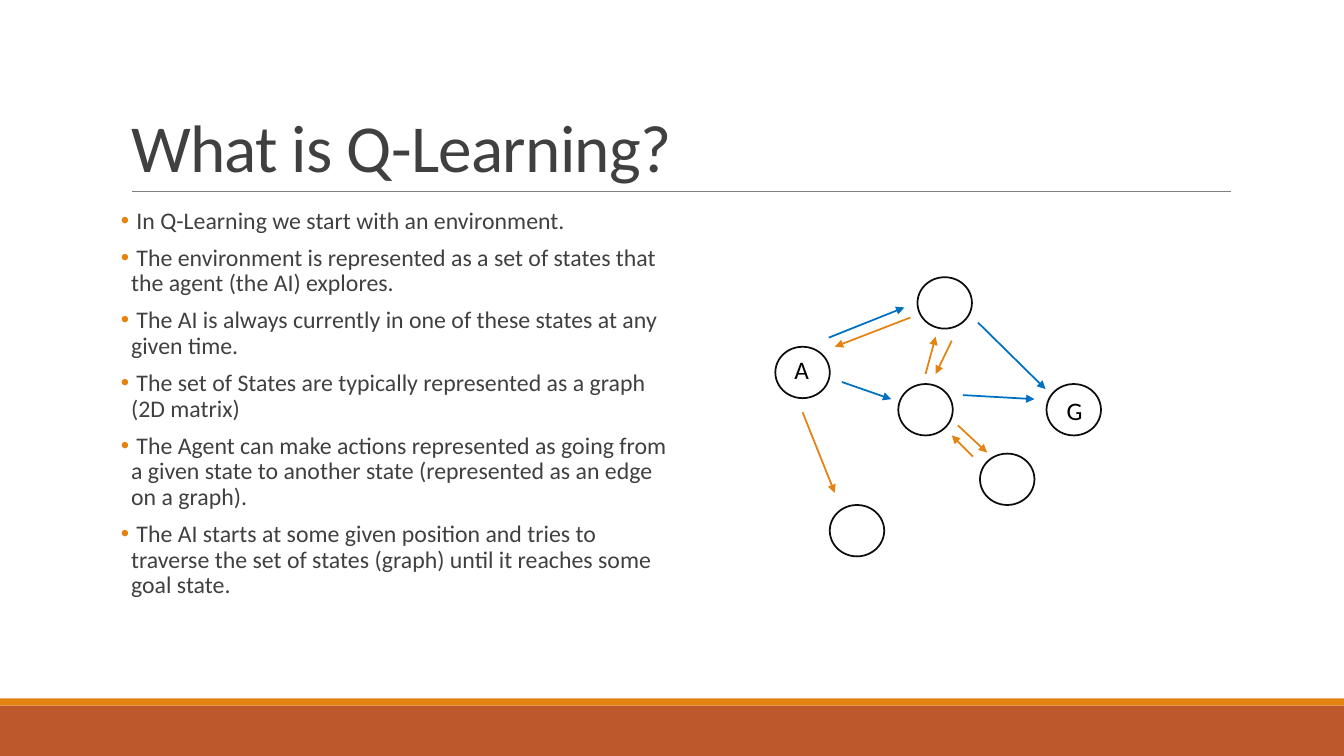
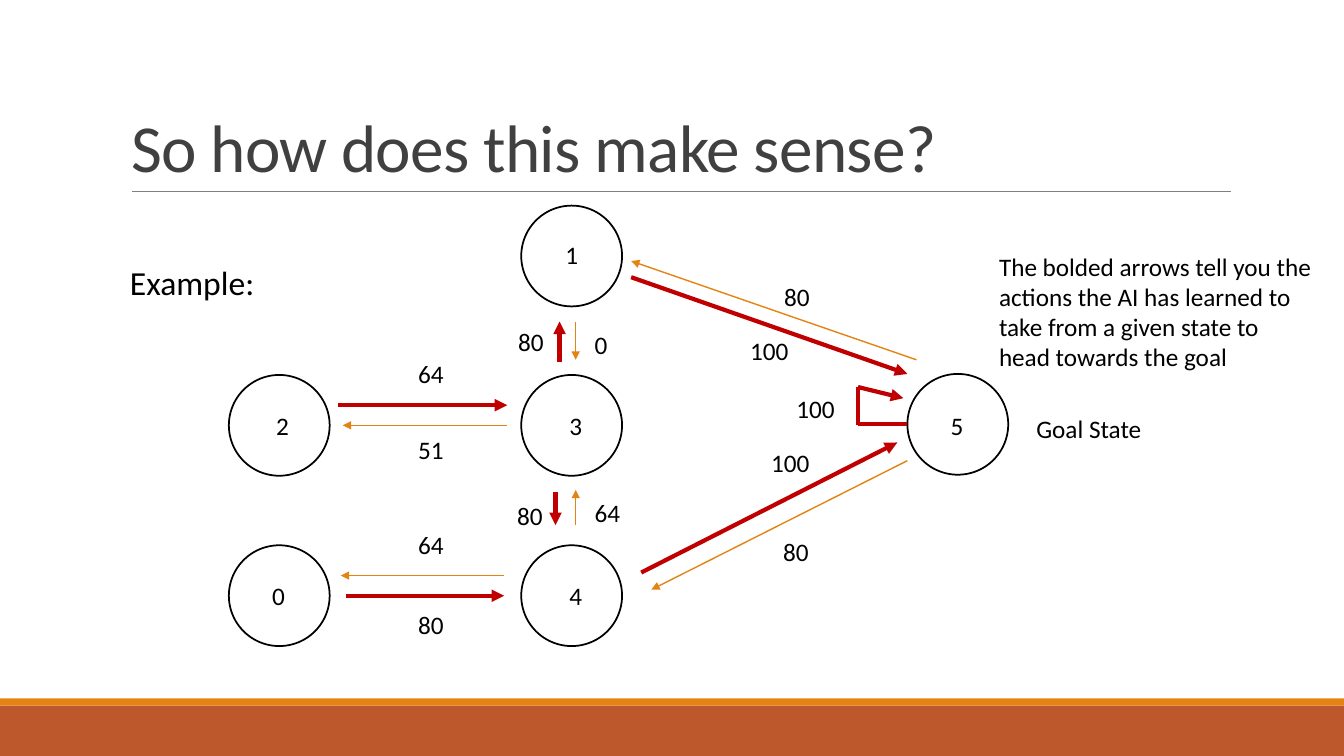
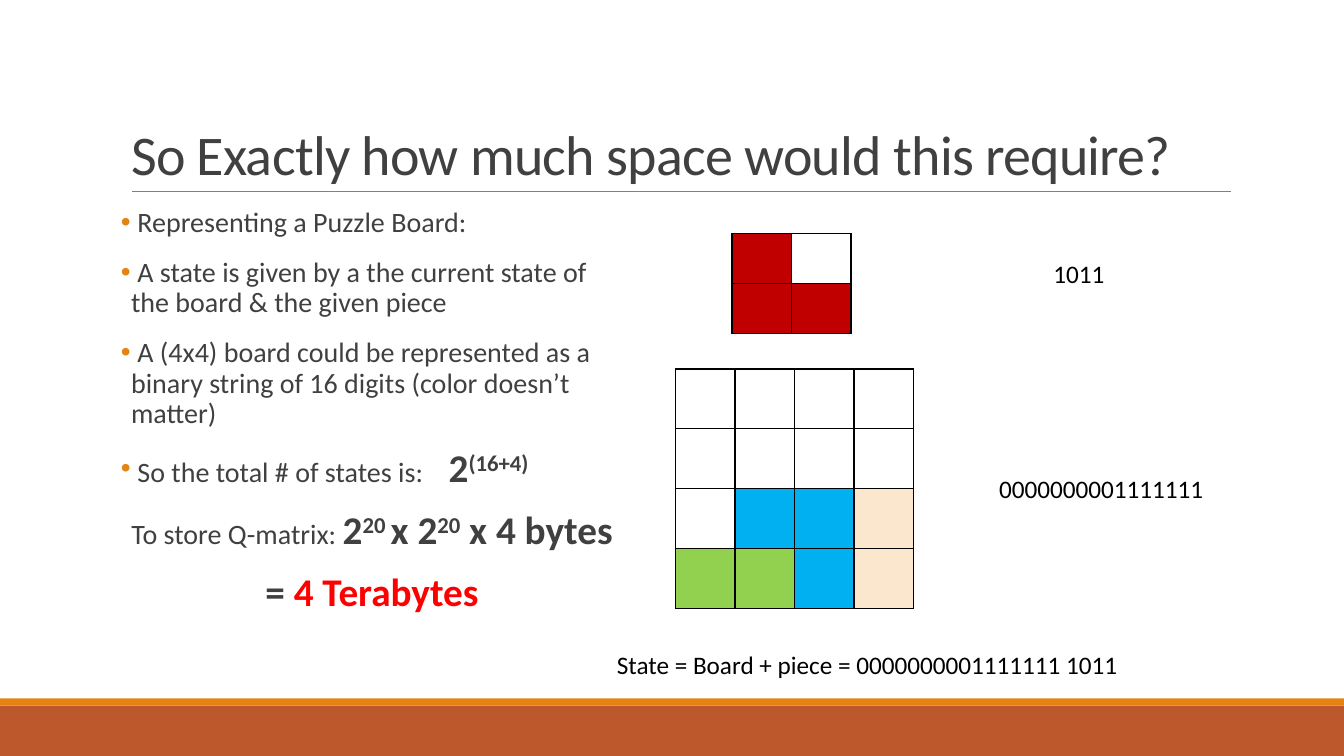
from dataclasses import dataclass

from lxml import etree
from pptx import Presentation
from pptx import util as u
from pptx.dml.color import RGBColor
from pptx.enum import shapes, text
from pptx.oxml.ns import qn

PX = 9144  # EMU per px, 100 px to the inch
WIDTH, HEIGHT = 1333, 750
TITLE_AND_BODY, TITLE_ONLY = 1, 5


@dataclass(frozen=True)
class Theme:
    font: str = "Calibri"
    ink: str = "404040"
    black: str = "000000"
    node: str = "0D0D0D"
    rule: str = "808080"
    rust: str = "BD582C"
    orange: str = "E48312"
    blue: str = "0070C0"
    crimson: str = "C00000"
    red: str = "FF0000"
    sky: str = "00B0F0"
    green: str = "92D050"
    peach: str = "FBE6CE"
    title: int = 48
    long_title: int = 40
    formula: int = 28
    heading: int = 24
    large_list: int = 20
    label: int = 18
    small_list: int = 17


THEME = Theme()


def px(*lengths):
    return [u.Emu(length * PX) for length in lengths]


def rgb(code):
    return RGBColor.from_string(code)


def add_xml(parent, tag, **attributes):
    return etree.SubElement(parent, qn(tag), attributes)


def add_solid(parent, color):
    add_xml(add_xml(parent, "a:solidFill"), "a:srgbClr", val=color)


def write_run(paragraph, words, size, color, bold=False, raised=0, tracking=0):
    run = paragraph.add_run()
    run.text = words
    font = run.font
    font.name, font.size, font.bold = THEME.font, u.Pt(size), bold
    font.color.rgb = rgb(color)
    properties = run._r.get_or_add_rPr()
    if raised:
        properties.set("baseline", str(raised * 1000))
    if tracking:
        properties.set("spc", str(int(tracking * 100)))


def write(frame, paragraphs, align=text.PP_ALIGN.LEFT, line=1.0, before=0,
          after=0, bullet=None, **font):
    """Write paragraphs: each a string, or a list of (words, font changes).

    Centred paragraphs are given as a tuple holding such a list.
    """
    for index, content in enumerate(paragraphs):
        paragraph = frame.paragraphs[0] if index == 0 else frame.add_paragraph()
        centred = isinstance(content, tuple)
        runs = content[0] if centred else content
        paragraph.alignment = text.PP_ALIGN.CENTER if centred else align
        paragraph.line_spacing = line
        paragraph.space_before, paragraph.space_after = u.Pt(before), u.Pt(after)
        layout = paragraph._p.get_or_add_pPr()
        bulleted = bullet and not centred
        hanging = 10 * PX if bulleted else 0
        layout.set("marL", str(hanging))
        layout.set("indent", str(-hanging))
        if bulleted:
            add_xml(add_xml(layout, "a:buClr"), "a:srgbClr", val=bullet)
            add_xml(layout, "a:buChar", char="•")
        else:
            add_xml(layout, "a:buNone")
        for words, changes in [(runs, {})] if isinstance(runs, str) else runs:
            write_run(paragraph, words, **{**font, **changes})


class Deck:
    def __init__(self):
        self.file = Presentation()
        self.file.slide_width, self.file.slide_height = px(WIDTH, HEIGHT)
        self.slide = None

    def start(self, heading, layout, size=THEME.title):
        first = self.slide is None
        self.slide = self.file.slides.add_slide(self.file.slide_layouts[layout])
        if first:
            self.furnish_master()
        frame = self.place(self.slide.shapes.title, 120, 31, 1100, 159)
        frame.vertical_anchor = text.MSO_ANCHOR.BOTTOM
        write(frame, [heading], line=0.85, size=size, color=THEME.ink, tracking=-0.5)

    def furnish_master(self):
        """Draw the bands and the title rule, and move them to the master."""
        parts = [self.band(700, 50, THEME.rust), self.band(693, 7, THEME.orange),
                 self.line((131, 190), (1221, 190), THEME.rule, 0.5)]
        for number, part in enumerate(parts, 101):
            part.element.xpath(".//p:cNvPr")[0].set("id", str(number))
            self.file.slide_master.shapes.element.append(part.element)

    def place(self, holder, left, top, width, height):
        holder.left, holder.top, holder.width, holder.height = px(
            left, top, width, height)
        frame = holder.text_frame
        frame.word_wrap = True
        frame.auto_size = text.MSO_AUTO_SIZE.NONE
        return frame

    def body(self, paragraphs, width, size, before):
        frame = self.place(self.slide.placeholders[1], 120, 202, width, 440)
        frame.margin_left = frame.margin_right = 0
        frame.margin_top, frame.margin_bottom = px(5, 5)
        frame.vertical_anchor = text.MSO_ANCHOR.TOP
        write(frame, paragraphs, line=0.9, before=before, after=2,
              bullet=THEME.orange, size=size, color=THEME.ink)

    def shape(self, kind, left, top, width, height):
        shape = self.slide.shapes.add_shape(kind, *px(left, top, width, height))
        shape.shadow.inherit = False
        return shape

    def band(self, top, height, color):
        band = self.shape(shapes.MSO_SHAPE.RECTANGLE, 0, top, WIDTH, height)
        band.fill.solid()
        band.fill.fore_color.rgb = rgb(color)
        band.line.fill.background()
        return band

    def node(self, left, top, width, height, color):
        node = self.shape(shapes.MSO_SHAPE.OVAL, left, top, width, height)
        node.fill.background()
        node.line.color.rgb = rgb(color)
        node.line.width = u.Pt(1.25)

    def line(self, start, end, color, weight, arrow=False):
        line = self.slide.shapes.add_connector(
            shapes.MSO_CONNECTOR.STRAIGHT, *px(*start, *end))
        line.line.color.rgb = rgb(color)
        line.line.width = u.Pt(weight)
        if arrow:
            add_xml(line.line._get_or_add_ln(), "a:tailEnd", type="triangle")
        add_xml(line.element.spPr, "a:effectLst")
        return line

    def label(self, left, top, *lines, width=None, size=THEME.label):
        width = width or 20 + 13 * len(lines[0])
        height = 10 + round(size * 1.67) * len(lines)
        box = self.slide.shapes.add_textbox(*px(left, top, width, height))
        box.text_frame.word_wrap = False
        box.text_frame.auto_size = text.MSO_AUTO_SIZE.SHAPE_TO_FIT_TEXT
        write(box.text_frame, lines, size=size, color=THEME.black)

    def grid(self, left, top, width, height, rows, colors):
        """Draw a table of blocks: each letter names a colour, a dot is empty."""
        table = self.slide.shapes.add_table(
            len(rows), len(rows[0]), *px(left, top, width, height)).table
        table.first_row = table.horz_banding = False
        for r, row in enumerate(rows):
            for c, letter in enumerate(row):
                cell = table.cell(r, c)
                properties = cell._tc.get_or_add_tcPr()
                for side in "LRTB":
                    border = add_xml(properties, f"a:ln{side}", w="12700")
                    add_solid(border, THEME.black)
                if letter == ".":
                    cell.fill.background()
                else:
                    cell.fill.solid()
                    cell.fill.fore_color.rgb = rgb(colors[letter])


def add_introduction(deck):
    deck.start("What is Q-Learning?", TITLE_AND_BODY)
    deck.body([
        " In Q-Learning we start with an environment.",
        " The environment is represented as a set of states that the agent "
        "(the AI) explores.",
        " The AI is always currently in one of these states at any given time.",
        " The set of States are typically represented as a graph (2D matrix)",
        " The Agent can make actions represented as going from a given state to "
        "another state (represented as an edge on a graph).",
        " The AI starts at some given position and tries to traverse the set of "
        "states (graph) until it reaches some goal state.",
    ], width=554, size=THEME.small_list, before=6)

    for left, top in [(769, 344), (910, 275), (1038, 381),
                      (891, 381), (823, 501), (972, 450)]:
        deck.node(left, top, 54, 51, THEME.node)
    route = [((835, 379), (884, 396)), ((970, 320), (1037, 386)),
             ((822, 335), (897, 305)), ((955, 392), (1026, 396))]
    other_moves = [((796, 409), (828, 489)), ((950, 422), (979, 449)),
                   ((903, 315), (828, 344)), ((965, 453), (944, 432)),
                   ((918, 371), (928, 334)), ((944, 338), (928, 371))]
    for moves, color in [(route, THEME.blue), (other_moves, THEME.orange)]:
        for start, end in moves:
            deck.line(start, end, color, 1.25, arrow=True)
    deck.label(778, 347, "A", width=35)
    deck.label(1048, 387, "G", width=36)


def add_example(deck):
    deck.start("So how does this make sense?", TITLE_ONLY)
    for left, top in [(227, 372), (517, 204), (517, 372),
                      (227, 541), (900, 371), (517, 541)]:
        deck.node(left, top, 100, 100, THEME.black)

    learned = [((335, 402), (503, 402)), ((343, 591), (500, 591)),
               ((551, 488), (551, 521)), ((555, 359), (555, 319)),
               ((636, 568), (890, 439)), ((626, 275), (900, 371)),
               ((851, 384), (896, 395))]
    other_moves = [((503, 422), (340, 422)), ((500, 571), (338, 571)),
                   ((571, 521), (571, 486)), ((571, 319), (571, 357)),
                   ((900, 457), (646, 585)), ((909, 357), (626, 259))]
    for moves, color, weight in [(learned, THEME.crimson, 3),
                                 (other_moves, THEME.orange, 1)]:
        for start, end in moves:
            deck.line(start, end, color, weight, arrow=True)
    for start, end in [((851, 421), (900, 421)), ((851, 422), (851, 384))]:
        deck.line(start, end, THEME.crimson, 3)

    states = [("0", 260, 571), ("2", 264, 402), ("1", 551, 233),
              ("3", 555, 402), ("4", 555, 571), ("5", 933, 402)]
    rewards = [("80", 504, 319), ("0", 580, 322), ("64", 405, 351),
               ("51", 405, 426), ("64", 405, 520), ("80", 405, 600),
               ("80", 768, 274), ("80", 767, 527), ("100", 755, 439),
               ("100", 780, 385), ("100", 734, 328), ("80", 503, 491),
               ("64", 580, 488)]
    for words, left, top in states + rewards:
        deck.label(left, top, words)
    deck.label(119, 255, "Example:", width=145, size=THEME.heading)
    deck.label(981, 244, "The bolded arrows tell you the",
               "actions the AI has learned to", "take from a given state to",
               "head towards the goal", width=339)
    deck.label(1018, 405, "Goal State", width=125)


def add_space_estimate(deck):
    deck.start("So Exactly how much space would this require?", TITLE_AND_BODY,
               size=THEME.long_title)
    strong = {"size": THEME.formula, "bold": True}
    power = {**strong, "raised": 30}
    deck.body([
        " Representing a Puzzle Board:",
        " A state is given by a the current state of the board & the given piece",
        " A (4x4) board could be represented as a binary string of 16 digits "
        "(color doesn’t matter)",
        [(" So the total # of states is:    ", {}), ("2", strong), ("(16+4)", power)],
        ([("To store Q-matrix: ", {}), ("2", strong), ("20 ", power),
          ("x 2", strong), ("20", power), (" x 4 bytes", strong)],),
        ([("= ", strong), ("4 Terabytes", {**strong, "color": THEME.red})],),
    ], width=498, size=THEME.large_list, before=12)

    colors = {"r": THEME.crimson, "b": THEME.sky, "g": THEME.green, "p": THEME.peach}
    deck.grid(670, 366, 236, 238, ["....", "....", ".bbp", "ggbp"], colors)
    deck.grid(726, 232, 118, 99, ["r.", "rr"], colors)
    deck.label(1035, 251, "1011")
    deck.label(981, 465, "0000000001111111", width=225)
    deck.label(602, 639, "State = Board + piece = 0000000001111111 1011", width=523)


def main():
    deck = Deck()
    add_introduction(deck)
    add_example(deck)
    add_space_estimate(deck)
    deck.file.save("out.pptx")


if __name__ == "__main__":
    main()
